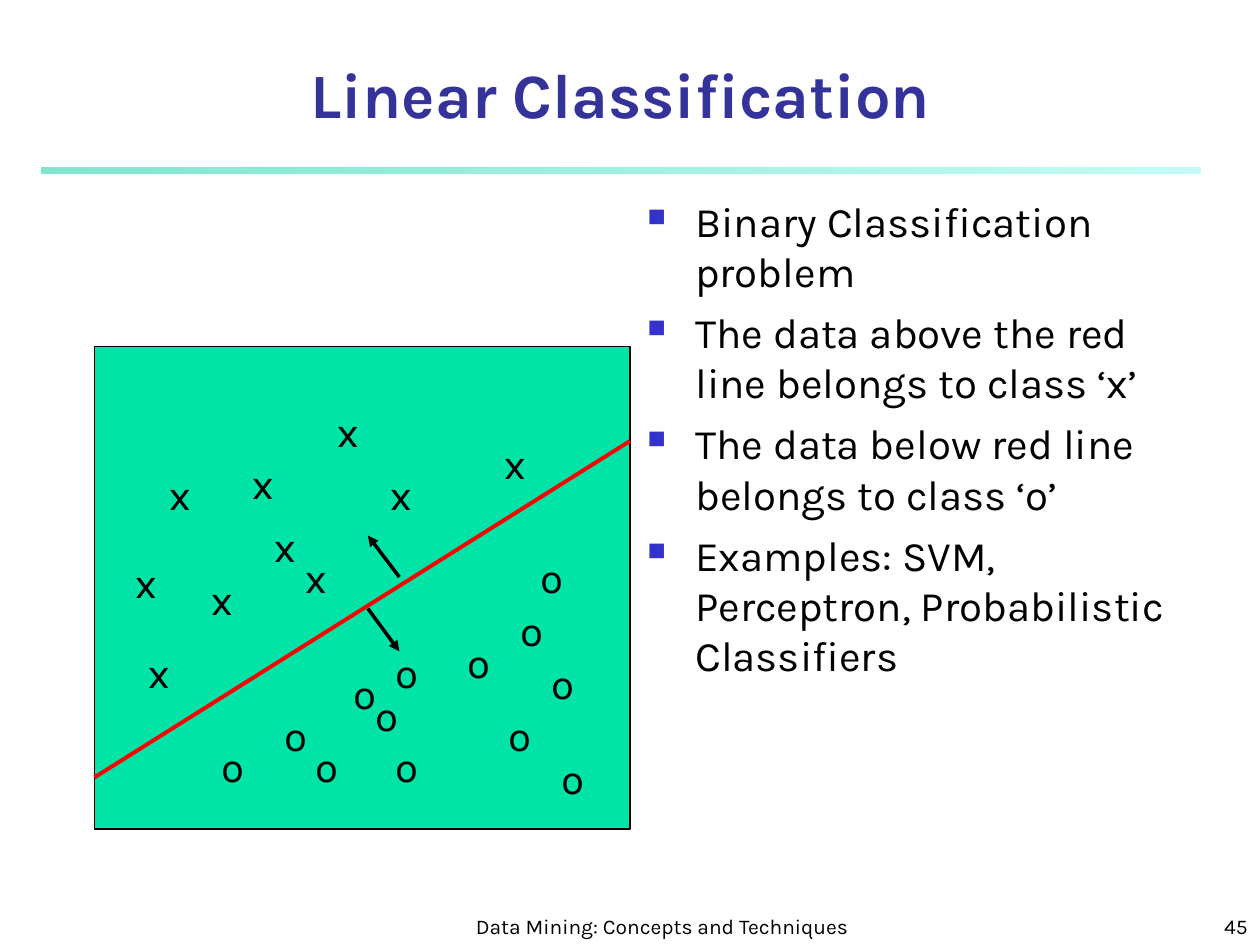
from lxml import etree
from pptx import Presentation
from pptx import util as u
from pptx.dml.color import RGBColor
from pptx.enum import shapes, text
from pptx.oxml.ns import qn

FONT = "Karla"
COLORS = {
    "title": "333399", "ink": "000000", "bullet": "3333CC",
    "panel": "00E4A8", "boundary": "FF0000",
    "rule_start": "00CE98", "rule_end": "8FF9EF",
}
RULE_ALPHA = (50, 52)

TITLE = "Linear Classification"
FOOTER = "Data Mining: Concepts and Techniques"
PAGE = "45"
POINTS = [
    "Binary Classification problem",
    "The data above the red line belongs to class ‘x’",
    "The data below red line belongs to class ‘o’",
    "Examples: SVM, Perceptron, Probabilistic Classifiers",
]
SAMPLES = {
    "x": (0.37, [(0.98, 4.37), (3.91, 3.42), (1.91, 3.58), (2.33, 4.33), (3, 3.67),
                 (1.25, 3.67), (1.58, 4.5), (2.58, 3.17), (2.08, 4.08), (1.08, 5.08)]),
    "o": (0.4, [(2.71, 5.25), (2.88, 5.42), (3.04, 5.08), (2.16, 5.58), (3.04, 5.83),
                (3.94, 5.58), (4.19, 4.33), (3.61, 5), (1.66, 5.83), (2.41, 5.83),
                (4.28, 5.17), (4.03, 4.75), (4.36, 5.92)]),
}
BOUNDARY = ((0.75, 6.17), (5, 3.5))
NORMALS = [((3.17, 4.58), (2.92, 4.25)), ((2.92, 4.83), (3.17, 5.17))]


def rgb(name):
    return RGBColor.from_string(COLORS[name])


def inches(values):
    return [u.Inches(v) for v in values]


def add_text(slide, place, lines, size, color="ink", align=text.PP_ALIGN.LEFT,
             anchor=text.MSO_ANCHOR.TOP, bold=False, wrap=True):
    frame = slide.shapes.add_textbox(*inches(place)).text_frame
    frame.word_wrap = wrap
    frame.vertical_anchor = anchor
    frame.text = "\n".join(lines)
    for paragraph in frame.paragraphs:
        paragraph.alignment = align
        paragraph.font.name = FONT
        paragraph.font.size = u.Pt(size)
        paragraph.font.bold = bold
        paragraph.font.color.rgb = rgb(color)
    return frame


def add_bullet(paragraph, indent=0.38):
    paragraph.space_before = u.Pt(6)
    props = paragraph._p.get_or_add_pPr()
    props.set("marL", str(u.Inches(indent)))
    props.set("indent", str(-u.Inches(indent)))
    marks = [etree.Element(qn(tag)) for tag in ("a:buClr", "a:buSzPct", "a:buChar")]
    etree.SubElement(marks[0], qn("a:srgbClr")).set("val", COLORS["bullet"])
    marks[1].set("val", "60000")
    marks[2].set("char", "■")
    spacing = props.find(qn("a:spcBef"))
    for mark in reversed(marks):
        spacing.addnext(mark)


def add_box(slide, place):
    box = slide.shapes.add_shape(shapes.MSO_SHAPE.RECTANGLE, *inches(place))
    box.shadow.inherit = False
    return box


def add_line(slide, ends, color, width, arrow=False):
    start, end = ends
    line = slide.shapes.add_connector(
        shapes.MSO_CONNECTOR.STRAIGHT, *inches(start + end))
    line.line.color.rgb = rgb(color)
    line.line.width = u.Pt(width)
    if arrow:
        etree.SubElement(line.line._get_or_add_ln(), qn("a:tailEnd")).set("type", "triangle")
    etree.SubElement(line._element.spPr, qn("a:effectLst"))


def add_rule(slide):
    rule = add_box(slide, (0.33, 1.33, 9.2, 0.05))
    rule.line.fill.background()
    rule.fill.gradient()
    rule.fill.gradient_angle = 0
    for stop, color in zip(rule.fill.gradient_stops, ("rule_start", "rule_end")):
        stop.color.rgb = rgb(color)
    for tint, alpha in zip(rule._element.spPr.iter(qn("a:srgbClr")), RULE_ALPHA):
        etree.SubElement(tint, qn("a:alpha")).set("val", str(alpha * 1000))


def add_plot(slide):
    panel = add_box(slide, (0.75, 2.75, 4.25, 3.83))
    panel.fill.solid()
    panel.fill.fore_color.rgb = rgb("panel")
    panel.line.color.rgb = rgb("ink")
    panel.line.width = u.Pt(0.75)
    add_line(slide, BOUNDARY, "boundary", 2.25)
    for label, (width, spots) in SAMPLES.items():
        for left, top in spots:
            add_text(slide, (left, top, width, 0.5), [label], 24, wrap=False)
    for ends in NORMALS:
        add_line(slide, ends, "ink", 2, arrow=True)


def main():
    deck = Presentation()
    deck.slide_width, deck.slide_height = inches((10, 7.5))
    slide = deck.slides.add_slide(deck.slide_layouts[6])
    bottom = text.MSO_ANCHOR.BOTTOM
    center, right = text.PP_ALIGN.CENTER, text.PP_ALIGN.RIGHT

    add_rule(slide)
    add_text(slide, (3.67, 7.08, 3.17, 0.42), [FOOTER], 12, align=center, anchor=bottom)
    add_text(slide, (7.92, 7.08, 2.08, 0.42), [PAGE], 12, align=right, anchor=bottom)
    add_text(slide, (0.33, 0.42, 9.19, 0.67), [TITLE], 36, "title", center, bottom, bold=True)
    body = add_text(slide, (5.04, 1.5, 4.54, 5.58), POINTS, 24)
    for paragraph in body.paragraphs:
        add_bullet(paragraph)
    add_plot(slide)
    deck.save("out.pptx")


if __name__ == "__main__":
    main()
